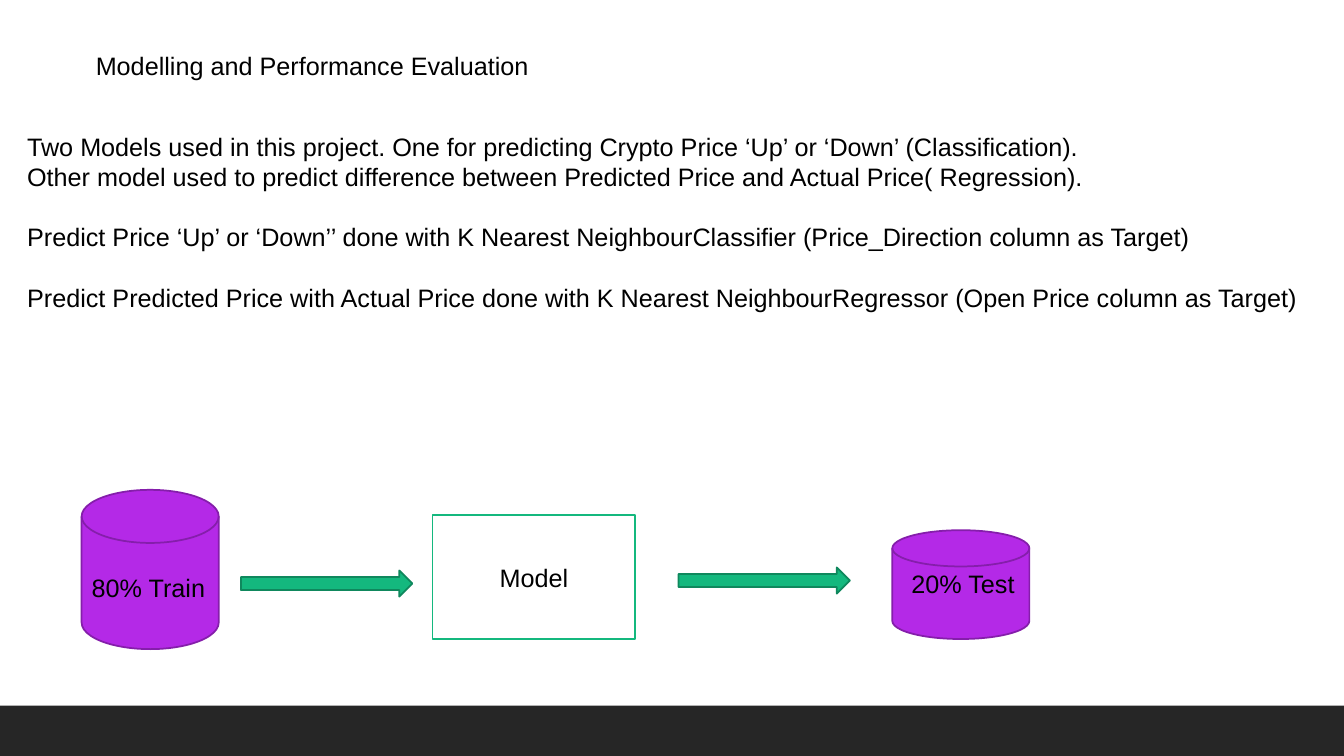
import pptx
import pptx.util
import pptx.dml.color
import pptx.enum.shapes
import pptx.enum.text

Inches = pptx.util.Inches
Pt = pptx.util.Pt
SHAPES = pptx.enum.shapes.MSO_SHAPE
ALIGN = pptx.enum.text.PP_ALIGN
ANCHOR = pptx.enum.text.MSO_ANCHOR

COLORS = {
    "text": "000000",
    "white": "FFFFFF",
    "footer": "262626",
    "purple": "B429E7",
    "purple_line": "851EAB",
    "green": "14B87E",
    "green_line": "0F885D",
}
LINE_HEIGHT = 21.6

TITLE = "Modelling and Performance Evaluation"
BODY = [
    ("Two Models used in this project. One for predicting Crypto Price ‘Up’ or ‘Down’ (Classification).", 0),
    ("Other model used to predict difference between Predicted Price and Actual Price( Regression).", 1),
    ("Predict Price ‘Up’ or ‘Down’’ done with K Nearest NeighbourClassifier (Price_Direction column as Target)", 1),
    ("Predict Predicted Price with Actual Price done with K Nearest NeighbourRegressor (Open Price column as Target)", 0),
]
DATASETS = [
    ((0.81, 4.86, 1.36, 1.58), "80% Train", (0.81, 5.63, 1.95, 0.4)),
    ((8.85, 5.26, 1.36, 1.08), "20% Test", (8.94, 5.59, 1.95, 0.4)),
]
ARROWS = [(2.39, 5.66, 1.7, 0.26), (6.73, 5.63, 1.7, 0.26)]
MODEL = ("Model", (4.29, 5.11, 2.01, 1.23))


def color(name):
    return pptx.dml.color.RGBColor.from_string(COLORS[name])


def add_shape(slide, kind, box, fill, line=None):
    shape = slide.shapes.add_shape(kind, *map(Inches, box))
    shape.shadow.inherit = False
    shape.fill.solid()
    shape.fill.fore_color.rgb = color(fill)
    if line:
        shape.line.color.rgb = color(line)
        shape.line.width = Pt(1.25)
    else:
        shape.line.fill.background()
    return shape


def write(shape, lines, align=ALIGN.LEFT, anchor=ANCHOR.TOP):
    frame = shape.text_frame
    frame.word_wrap = True
    frame.auto_size = pptx.enum.text.MSO_AUTO_SIZE.NONE
    frame.vertical_anchor = anchor
    frame.text = "\n".join(text for text, gap in lines)
    for paragraph, (text, gap) in zip(frame.paragraphs, lines):
        paragraph.alignment = align
        paragraph.line_spacing = Pt(LINE_HEIGHT)
        paragraph.space_before = Pt(0)
        paragraph.space_after = Pt(gap * LINE_HEIGHT)
        paragraph.font.name = "Arial"
        paragraph.font.size = Pt(18)
        paragraph.font.color.rgb = color("text")


def add_text(slide, box, lines):
    write(slide.shapes.add_textbox(*map(Inches, box)), lines)


def main():
    presentation = pptx.Presentation()
    presentation.slide_width = Inches(13.33)
    presentation.slide_height = Inches(7.5)
    slide = presentation.slides.add_slide(presentation.slide_layouts[5])

    title = slide.shapes.title
    title.left, title.top, title.width, title.height = map(Inches, (0.85, 0.45, 5.2, 0.4))
    write(title, [(TITLE, 0)])

    add_shape(slide, SHAPES.RECTANGLE, (0, 7, 13.33, 0.5), "footer")
    add_text(slide, (0.17, 1.25, 12.89, 2.52), BODY)

    for disk_box, label, label_box in DATASETS:
        add_shape(slide, SHAPES.FLOWCHART_MAGNETIC_DISK, disk_box, "purple", "purple_line")
        add_text(slide, label_box, [(label, 0)])

    for arrow_box in ARROWS:
        add_shape(slide, SHAPES.RIGHT_ARROW, arrow_box, "green", "green_line")

    label, model_box = MODEL
    model = add_shape(slide, SHAPES.RECTANGLE, model_box, "white", "green")
    write(model, [(label, 0)], ALIGN.CENTER, ANCHOR.MIDDLE)

    presentation.save("out.pptx")


if __name__ == "__main__":
    main()
